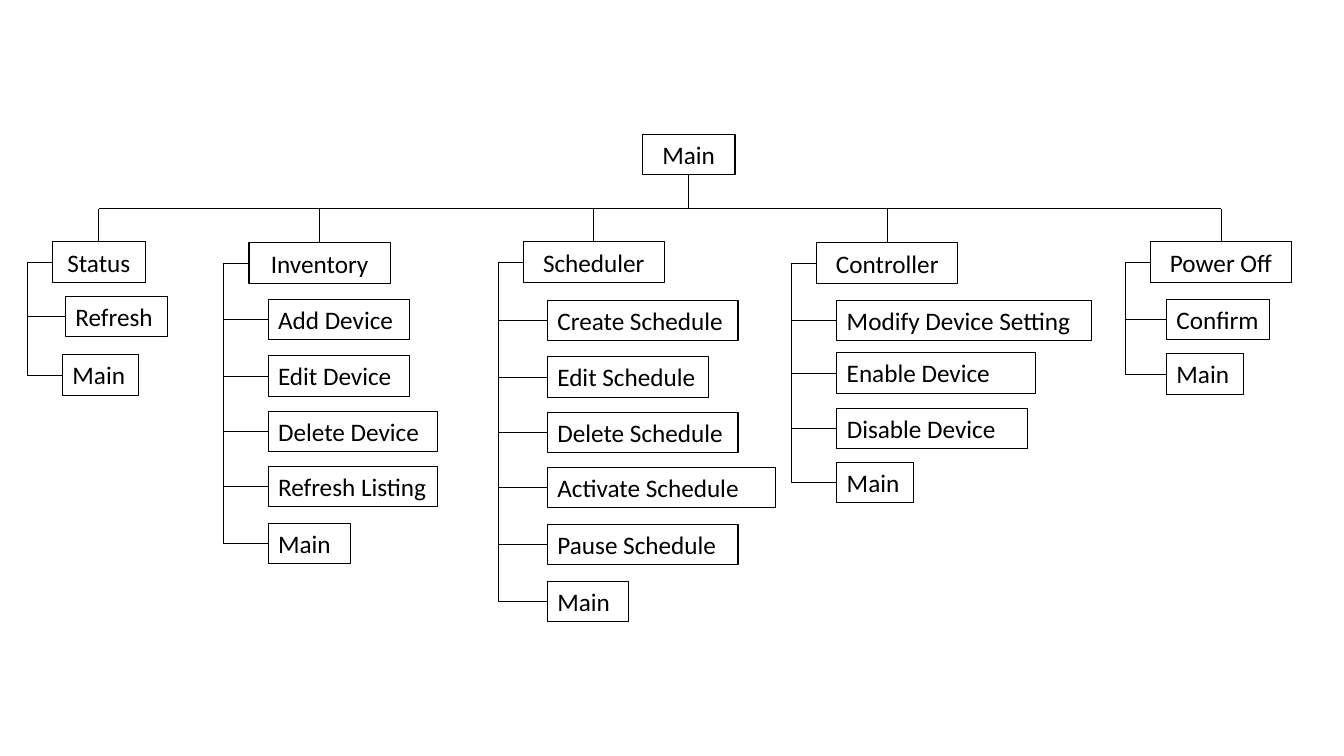
from dataclasses import dataclass

from lxml.etree import SubElement
from pptx import Presentation
from pptx.dml.color import RGBColor
from pptx.enum.shapes import MSO_CONNECTOR
from pptx.enum.text import MSO_AUTO_SIZE, PP_ALIGN
from pptx.oxml.ns import qn
from pptx.shapes.autoshape import Shape
from pptx.shapes.connector import Connector
from pptx.shapes.shapetree import SlideShapes
from pptx.util import Emu, Pt

PX = 9144  # EMU per px, 100 px to the inch
BLACK = RGBColor(0x00, 0x00, 0x00)
FONT = "Calibri"
HIGH = 40
BUS = 207  # height of the line that joins the menus
TRUNK = 25  # from a menu's left side to the line that joins its items
TOP, LEFT, BOTTOM = 0, 1, 2


@dataclass(frozen=True)
class Box:
    text: str
    left: int
    top: int
    width: int

    @property
    def mid(self) -> int:
        return self.left + self.width // 2


@dataclass(frozen=True)
class Menu:
    head: Box
    items: tuple[Box, ...]


ROOT = Box("Main", 637, 133, 92)
MENUS = (
    Menu(Box("Status", 52, 240, 92), (
        Box("Refresh", 65, 294, 101),
        Box("Main", 62, 352, 75),
    )),
    Menu(Box("Inventory", 247, 241, 140), (
        Box("Add Device", 266, 297, 140),
        Box("Edit Device", 266, 353, 140),
        Box("Delete Device", 266, 408, 168),
        Box("Refresh Listing", 266, 463, 168),
        Box("Main", 266, 519, 82),
    )),
    Menu(Box("Scheduler", 519, 240, 140), (
        Box("Create Schedule", 543, 298, 189),
        Box("Edit Schedule", 543, 354, 160),
        Box("Delete Schedule", 543, 409, 189),
        Box("Activate Schedule", 543, 464, 226),
        Box("Pause Schedule", 543, 520, 189),
        Box("Main", 543, 577, 80),
    )),
    Menu(Box("Controller", 810, 241, 140), (
        Box("Modify Device Setting", 830, 298, 253),
        Box("Enable Device", 830, 350, 197),
        Box("Disable Device", 830, 405, 189),
        Box("Main", 830, 459, 76),
    )),
    Menu(Box("Power Off", 1141, 240, 140), (
        Box("Confirm", 1157, 297, 102),
        Box("Main", 1157, 351, 76),
    )),
)


def px(size: int) -> Emu:
    return Emu(size * PX)


def draw_box(shapes: SlideShapes, box: Box, align: PP_ALIGN) -> Shape:
    shape = shapes.add_textbox(px(box.left), px(box.top), px(box.width), px(HIGH))
    shape.line.color.rgb = BLACK
    shape.line.width = Pt(0.75)
    frame = shape.text_frame
    frame.word_wrap = True
    frame.auto_size = MSO_AUTO_SIZE.SHAPE_TO_FIT_TEXT
    para = frame.paragraphs[0]
    para.alignment = align
    run = para.add_run()
    run.text = box.text
    run.font.name = FONT
    run.font.size = Pt(18)
    run.font.color.rgb = BLACK
    return shape


def draw_line(shapes: SlideShapes, kind: MSO_CONNECTOR,
              x1: int, y1: int, x2: int, y2: int) -> Connector:
    line = shapes.add_connector(kind, px(x1), px(y1), px(x2), px(y2))
    line.line.color.rgb = BLACK
    line.line.width = Pt(0.5)
    SubElement(line._element.spPr, qn("a:effectLst"))
    return line


def join_bus(shapes: SlideShapes, shape: Shape, box: Box, site: int) -> None:
    """Join the top or bottom of a box to the line over the menus."""
    edge = box.top if site == TOP else box.top + HIGH
    line = draw_line(shapes, MSO_CONNECTOR.STRAIGHT, box.mid, edge, box.mid, BUS)
    line.begin_connect(shape, site)


def join_item(shapes: SlideShapes, head: Shape, item: Shape) -> None:
    """Join an item to its menu by an elbow that runs left of both."""
    line = draw_line(shapes, MSO_CONNECTOR.ELBOW, 0, 0, 0, 0)
    line.begin_connect(item, LEFT)
    line.end_connect(head, LEFT)
    ratio = 1 + px(TRUNK) / line.width
    geom = line._element.spPr.find(qn("a:prstGeom"))
    guides = geom.find(qn("a:avLst"))
    SubElement(guides, qn("a:gd"), name="adj1", fmla=f"val {round(ratio * 100000)}")


def main() -> None:
    deck = Presentation()
    deck.slide_width, deck.slide_height = px(1333), px(750)
    shapes = deck.slides.add_slide(deck.slide_layouts[6]).shapes
    root = draw_box(shapes, ROOT, PP_ALIGN.CENTER)
    join_bus(shapes, root, ROOT, BOTTOM)
    first, last = MENUS[0].head, MENUS[-1].head
    draw_line(shapes, MSO_CONNECTOR.STRAIGHT, first.mid, BUS, last.mid, BUS)
    for menu in MENUS:
        head = draw_box(shapes, menu.head, PP_ALIGN.CENTER)
        join_bus(shapes, head, menu.head, TOP)
        for box in menu.items:
            item = draw_box(shapes, box, PP_ALIGN.LEFT)
            join_item(shapes, head, item)
    deck.save("out.pptx")


if __name__ == "__main__":
    main()
